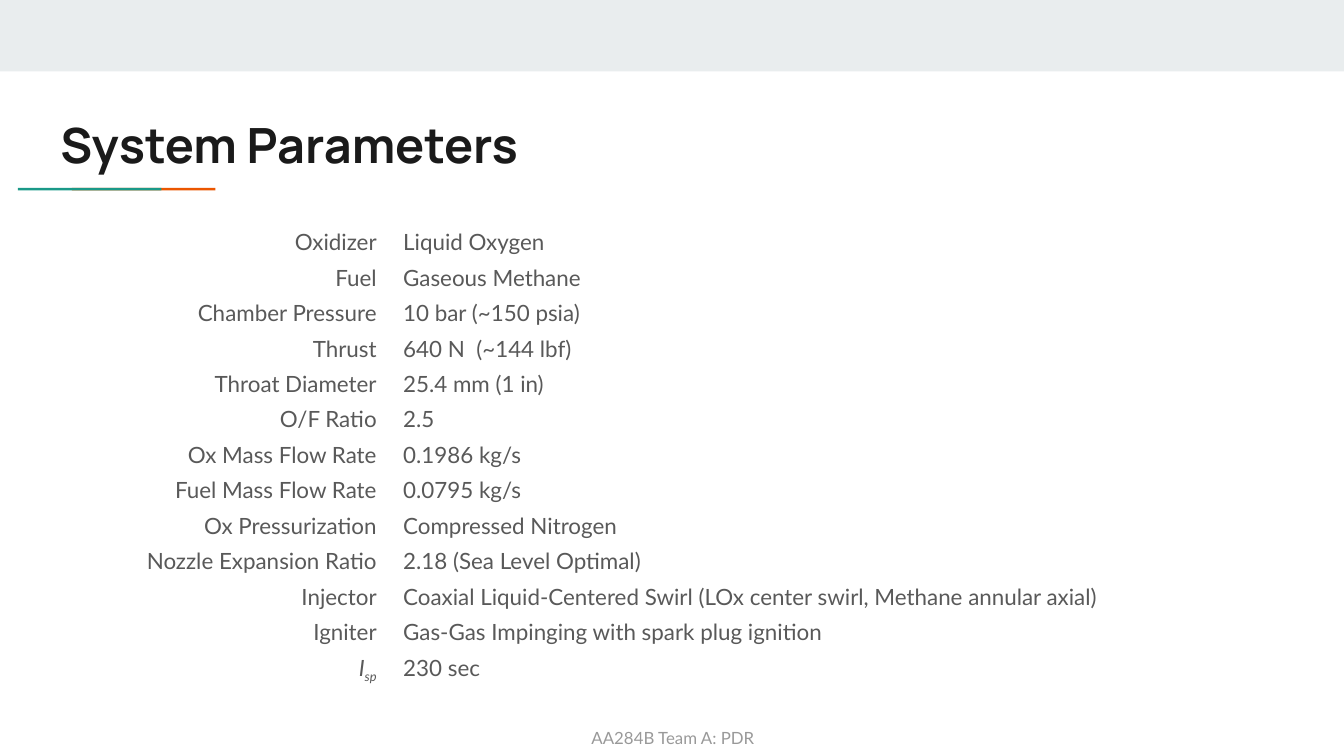
"""Build the System Parameters slide with its two-column parameter table."""
from pptx import Presentation
from pptx.dml.color import RGBColor
from pptx.enum.shapes import MSO_SHAPE as Shape
from pptx.enum.text import MSO_ANCHOR as Anchor, PP_ALIGN as Align
from pptx.util import Cm, Pt

BAND = RGBColor(0xE9, 0xED, 0xEE)
ORANGE = RGBColor(0xEB, 0x56, 0x00)
TEAL = RGBColor(0x1A, 0x99, 0x88)
INK = RGBColor(0x1A, 0x1A, 0x1A)
BODY = RGBColor(0x59, 0x59, 0x59)
MUTED = RGBColor(0x99, 0x99, 0x99)

TITLE = "System Parameters"
FOOTER = "AA284B Team A: PDR"
PARAMETERS = [
    ("Oxidizer", "Liquid Oxygen"),
    ("Fuel", "Gaseous Methane"),
    ("Chamber Pressure", "10 bar (~150 psia)"),
    ("Thrust", "640 N  (~144 lbf)"),
    ("Throat Diameter", "25.4 mm (1 in)"),
    ("O/F Ratio", "2.5"),
    ("Ox Mass Flow Rate", "0.1986 kg/s"),
    ("Fuel Mass Flow Rate", "0.0795 kg/s"),
    ("Ox Pressurization", "Compressed Nitrogen"),
    ("Nozzle Expansion Ratio", "2.18 (Sea Level Optimal)"),
    ("Injector", "Coaxial Liquid-Centered Swirl (LOx center swirl, Methane annular axial)"),
    ("Igniter", "Gas-Gas Impinging with spark plug ignition"),
    ("I", "230 sec"),
]
SUBSCRIPT = "sp"
BARS = [
    (0, 0, 25.4, 1.35, BAND),
    (1.36, 3.55, 2.71, 0.05, ORANGE),
    (0.34, 3.55, 2.71, 0.05, TEAL),
]
COLUMN_WIDTHS = (5.87, 15.75)
ROW_HEIGHT = 0.67
INSET = Cm(0.25)


def style(font, name, size, color, bold=False):
    font.name, font.size, font.bold = name, Pt(size), bold
    font.color.rgb = color


def add_bar(page, left, top, width, height, color):
    bar = page.shapes.add_shape(Shape.RECTANGLE, Cm(left), Cm(top), Cm(width), Cm(height))
    bar.shadow.inherit = False
    bar.fill.solid()
    bar.fill.fore_color.rgb = color
    bar.line.fill.background()


def add_text(page, place, text, align, *look):
    frame = page.shapes.add_textbox(*map(Cm, place)).text_frame
    frame.word_wrap = True
    frame.margin_left = frame.margin_right = INSET
    frame.margin_top = frame.margin_bottom = INSET
    frame.text = text
    para = frame.paragraphs[0]
    para.alignment = align
    style(para.runs[0].font, *look)


def add_parameters(page):
    table = page.shapes.add_table(
        len(PARAMETERS), len(COLUMN_WIDTHS), Cm(1.5), Cm(4.32),
        Cm(sum(COLUMN_WIDTHS)), Cm(ROW_HEIGHT * len(PARAMETERS))).table
    table.first_row = table.horz_banding = False
    for column, width in zip(table.columns, COLUMN_WIDTHS):
        column.width = Cm(width)
    for row, texts in zip(table.rows, PARAMETERS):
        row.height = Cm(ROW_HEIGHT)
        for cell, text, align in zip(row.cells, texts, (Align.RIGHT, Align.LEFT)):
            cell.fill.background()
            cell.margin_left = cell.margin_right = INSET
            cell.margin_top = cell.margin_bottom = 0
            cell.vertical_anchor = Anchor.TOP
            para = cell.text_frame.paragraphs[0]
            para.text = text
            para.alignment = align
            style(para.runs[0].font, "Lato", 12, BODY)
    symbol = table.cell(len(PARAMETERS) - 1, 0).text_frame.paragraphs[0]
    span = symbol.add_run()
    span.text = SUBSCRIPT
    style(span.font, "Lato", 12, BODY)
    span.font._element.set("baseline", "-25000")
    for span in symbol.runs:
        span.font.italic = True


def main():
    deck = Presentation()
    deck.slide_width, deck.slide_height = Cm(25.4), Cm(14.29)
    page = deck.slides.add_slide(deck.slide_layouts[6])
    add_text(page, (8.41, 13.56, 8.61, 0.58), FOOTER, Align.CENTER, "Lato", 9, MUTED)
    for bar in BARS:
        add_bar(page, *bar)
    add_text(page, (0.89, 1.93, 21.36, 1.5), TITLE, Align.LEFT, "Manrope", 26, INK, True)
    add_parameters(page)
    deck.save("out.pptx")


if __name__ == "__main__":
    main()
